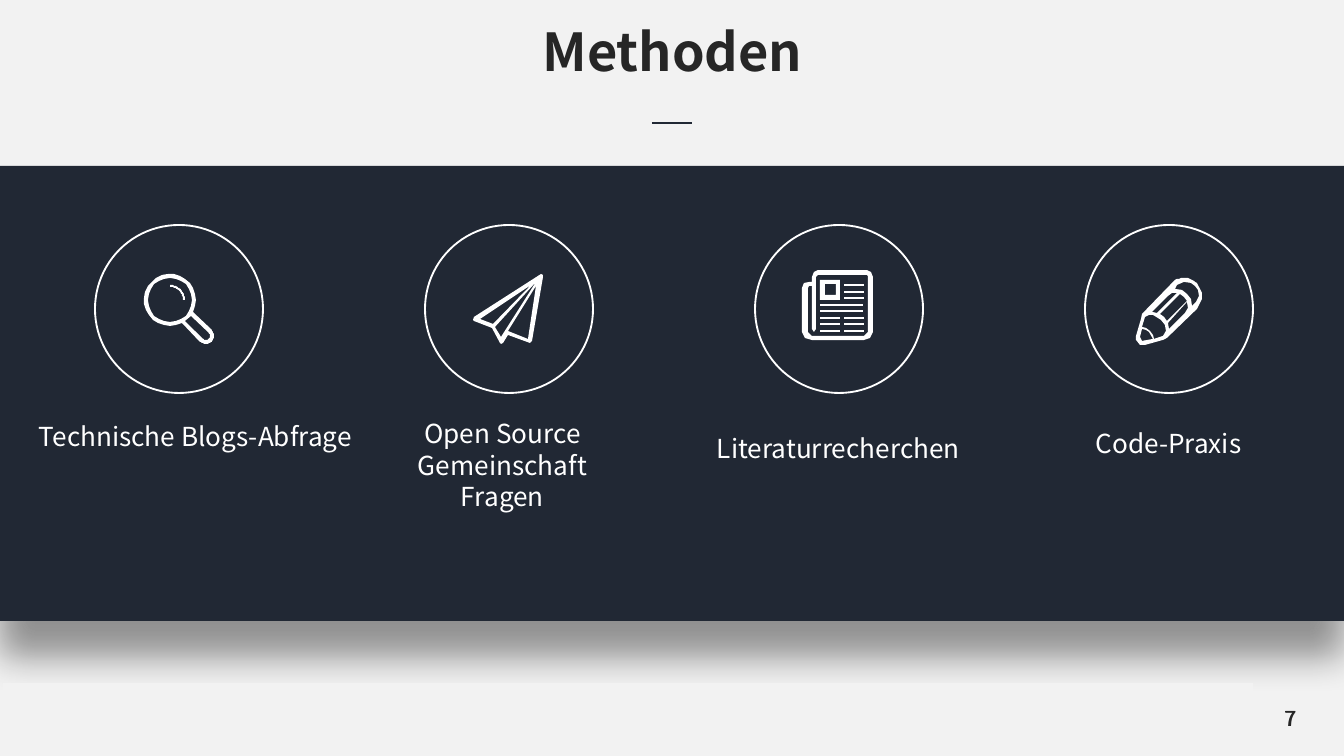
from math import cos, radians, sin

from lxml import etree
from pptx import Presentation
from pptx.dml.color import RGBColor
from pptx.enum.shapes import MSO_CONNECTOR, MSO_SHAPE
from pptx.enum.text import MSO_ANCHOR, PP_ALIGN
from pptx.oxml import parse_xml
from pptx.oxml.ns import nsdecls, qn
from pptx.util import Pt

PX = 914400 / 134.4
FONT = "Noto Sans CJK SC"
COLORS = {name: RGBColor.from_string(code) for name, code in {
    "paper": "F2F2F2", "navy": "212834", "ink": "262626", "white": "FFFFFF",
}.items()}
RECTANGLE, OVAL = MSO_SHAPE.RECTANGLE, MSO_SHAPE.OVAL
STRAIGHT = MSO_CONNECTOR.STRAIGHT
CENTER, RIGHT = PP_ALIGN.CENTER, PP_ALIGN.RIGHT
TOP, MIDDLE = MSO_ANCHOR.TOP, MSO_ANCHOR.MIDDLE

prs = Presentation()
prs.slide_width, prs.slide_height = round(1344 * PX), round(756 * PX)
slide = prs.slides.add_slide(prs.slide_layouts[6])
slide.background.fill.solid()
slide.background.fill.fore_color.rgb = COLORS["paper"]


def add_text(text, box, size, color, align=CENTER, anchor=TOP, bold=False):
    frame = slide.shapes.add_textbox(*[round(v * PX) for v in box]).text_frame
    frame.word_wrap = True
    frame.vertical_anchor = anchor
    frame.text = text
    paragraph = frame.paragraphs[0]
    paragraph.alignment = align
    font = paragraph.runs[0].font
    font.name, font.size, font.bold = FONT, Pt(size), bold
    font.color.rgb = COLORS[color]


def arc(cx, cy, radius, start, end):
    """Points along an arc, in degrees clockwise from the right."""
    angles = [radians(start + (end - start) * i / 24) for i in range(25)]
    return [(cx + radius * cos(a), cy + radius * sin(a)) for a in angles]


# Dark band with its soft shadow
band = slide.shapes.add_shape(RECTANGLE, 0, round(166 * PX), prs.slide_width, round(455 * PX))
band.fill.solid()
band.fill.fore_color.rgb = COLORS["navy"]
band.line.fill.background()
band.shadow.inherit = False
band._element.spPr.find(qn("a:effectLst")).append(parse_xml(
    f'<a:outerShdw {nsdecls("a")} blurRad="{Pt(20)}" dist="{Pt(20)}" dir="5400000" '
    'algn="t" rotWithShape="0"><a:srgbClr val="000000"><a:alpha val="40000"/>'
    '</a:srgbClr></a:outerShdw>'))

# Heading and its short rule
add_text("Methoden", (521, 13, 303, 77), 28, "ink", bold=True)
rule = slide.shapes.add_connector(
    STRAIGHT, *[round(v * PX) for v in (652, 123, 692, 123)])
rule.line.color.rgb = COLORS["navy"]
rule.line.width = Pt(1.5)
etree.SubElement(rule._element.spPr, qn("a:effectLst"))

# Four methods: ring and label
methods = [
    ("Technische Blogs-Abfrage", (8, 414, 375, 46)),
    ("Open Source Gemeinschaft Fragen", (375, 411, 255, 109)),
    ("Literaturrecherchen", (702, 426, 273, 46)),
    ("Code-Praxis", (1079, 421, 179, 46)),
]
for i, (label, label_box) in enumerate(methods):
    ring = slide.shapes.add_shape(
        OVAL, *[round(v * PX) for v in (95 + 330 * i, 225, 168, 168)])
    ring.fill.background()
    ring.line.color.rgb = COLORS["white"]
    ring.line.width = Pt(1)
    ring.shadow.inherit = False
    add_text(label, label_box, 14, "white")

# Page number, then the strip that ends the shadow
page_style = (11, "ink", RIGHT, MIDDLE)
add_text("7", (1006, 698, 303, 40), *page_style)
strip = slide.shapes.add_shape(RECTANGLE, *[round(v * PX) for v in (3, 683, 1250, 73)])
strip.fill.solid()
strip.fill.fore_color.rgb = COLORS["paper"]
strip.line.fill.background()
strip.shadow.inherit = False

# Icon parts: the first contour is the outline, contours inside it are holes
magnifier = [
    arc(170, 300, 26, 62, 388) + arc(206, 336, 8, -45, 135),
    arc(170, 300, 22, 0, 360),
    [(185, 321), (191, 316)] + arc(206, 336, 4, -45, 135),
]
lens_glint = [arc(170, 300, 15, -90, 0) + arc(170, 300, 13, 0, -90)]
paper_plane = [
    [(541, 274), (474, 317), (473, 320), (474, 321), (492, 328), (500, 343), (501, 344),
     (503, 343), (508, 335), (530, 343), (532, 341), (543, 277), (543, 275)],
    [(528, 339), (508, 331), (536, 286)],
    [(495, 327), (536, 282), (501, 337)],
    [(480, 319), (531, 285), (493, 324)],
]
pencil = [
    arc(1184, 296, 18, -120, 45)
    + [(1167, 338), (1163, 340), (1145, 345), (1140, 345), (1136, 340), (1136, 336),
       (1141, 319), (1142, 314)],
    [(1196, 302), (1192, 306), (1191, 299), (1187, 294), (1182, 290), (1175, 289),
     (1177, 285), (1184, 282), (1191, 283), (1195, 286), (1198, 290), (1199, 296)],
    [(1154, 339), (1153, 335), (1150, 331), (1146, 328), (1142, 327), (1145, 317),
     (1149, 315), (1153, 315), (1161, 320), (1165, 325), (1166, 331), (1163, 336)],
    [(1142, 341), (1140, 337), (1142, 329), (1146, 330), (1149, 332), (1153, 339)],
    [(1157, 313), (1152, 312), (1168, 296), (1172, 293), (1177, 293)],
    [(1167, 321), (1164, 317), (1160, 314), (1180, 294), (1184, 297), (1187, 301)],
    [(1169, 329), (1168, 323), (1187, 302), (1188, 308), (1185, 313)],
]
newspaper = [
    [(867, 270), (871, 272), (873, 277), (873, 332), (870, 338), (864, 340), (812, 340),
     (805, 338), (802, 332), (802, 288), (804, 283), (809, 282), (812, 282), (812, 277),
     (814, 272), (818, 270)],
    [(868, 276), (868, 332), (864, 336), (812, 336), (808, 332), (808, 288), (809, 286),
     (812, 286), (812, 329), (814, 332), (816, 329), (816, 277), (818, 275), (867, 275)],
]
text_bars = [(844, y, 20) for y in (297, 291, 284)]
text_bars += [(x, y, 20) for x in (820, 844) for y in (330, 323, 317)]
text_bars += [(820, y, 43) for y in (304, 310)]
newspaper_text = [[[(x, y), (x + w, y), (x + w, y + 2), (x, y + 2)]]
                  for x, y, w in text_bars]
article_photo = [[(x, y), (x + s, y), (x + s, y + s), (x, y + s)]
                 for x, y, s in ((820, 280, 20), (825, 284, 11))]

for contours in (paper_plane, magnifier, lens_glint, pencil, newspaper,
                 *newspaper_text, article_photo):
    builder = slide.shapes.build_freeform(*contours[0][0], scale=PX)
    for n, (first, *others) in enumerate(contours):
        if n:
            builder.move_to(*first)
        builder.add_line_segments(others, close=True)
    icon_part = builder.convert_to_shape()
    icon_part.fill.solid()
    icon_part.fill.fore_color.rgb = COLORS["white"]
    icon_part.line.fill.background()
    icon_part.shadow.inherit = False

add_text("7", (1007, 698, 303, 40), *page_style)
prs.save("out.pptx")
